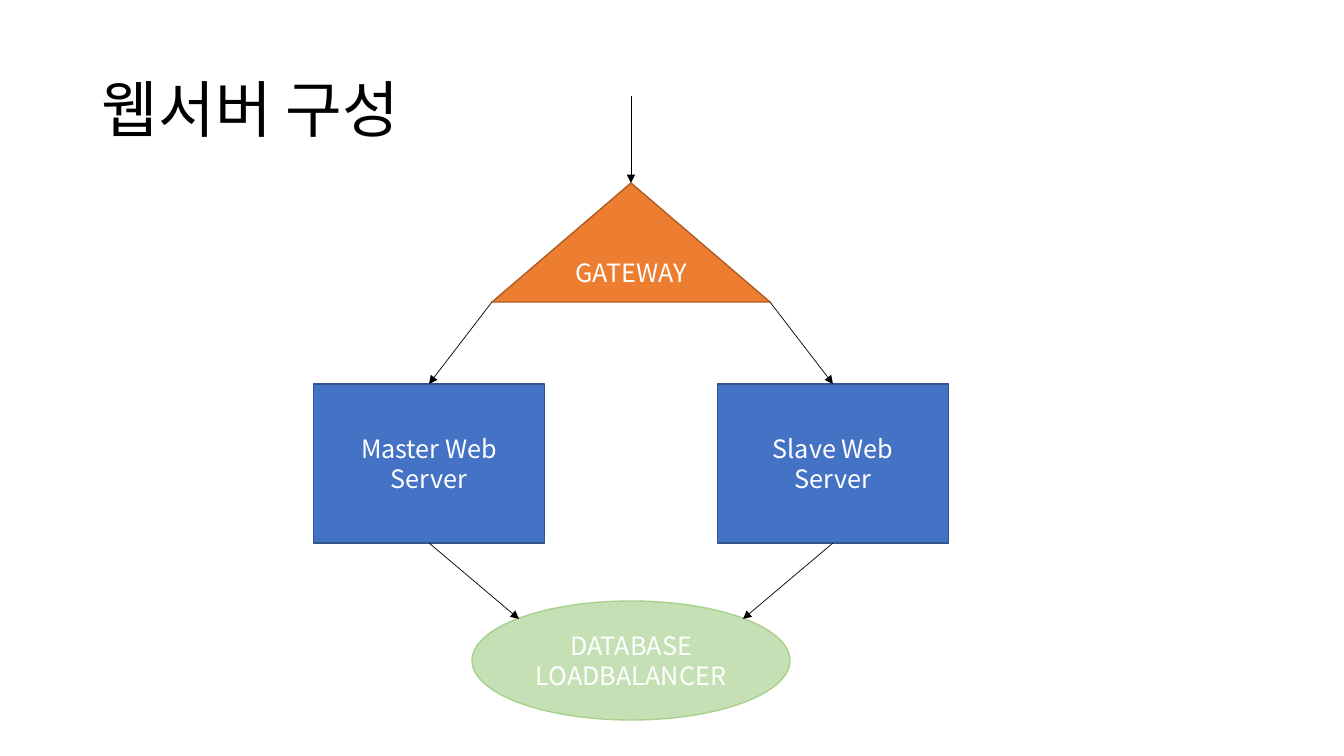
from dataclasses import dataclass

from lxml.etree import SubElement
from pptx import Presentation
from pptx.dml.color import RGBColor
from pptx.enum.shapes import MSO_CONNECTOR, MSO_SHAPE
from pptx.enum.text import MSO_ANCHOR, PP_ALIGN
from pptx.oxml.ns import qn
from pptx.util import Emu, Pt

SLIDE_WIDTH, SLIDE_HEIGHT = 1344, 756
SCALE = 12192000 / SLIDE_WIDTH
FONT = "Noto Sans CJK KR"
AXIS = 631
SERVER_OFFSET = 202
SERVER_TOP, SERVER_BOTTOM = 384, 543
PROXY_TOP, PROXY_BOTTOM = 183, 302
PROXY_HALF = 139


@dataclass(frozen=True)
class Node:
    kind: MSO_SHAPE
    center: int
    top: int
    width: int
    height: int
    fill: str
    outline: str
    lines: tuple[str, ...]


@dataclass(frozen=True)
class Arrow:
    start: tuple[int, int]
    end: tuple[int, int]


def px(value: float) -> Emu:
    return Emu(round(value * SCALE))


def color(value: str) -> RGBColor:
    return RGBColor.from_string(value)


def write_lines(para, lines: tuple[str, ...], size: int, ink: str) -> None:
    for index, line in enumerate(lines):
        if index:
            para.add_line_break()
        span = para.add_run()
        span.text = line
        span.font.size = Pt(size)
        span.font.name = FONT
        span.font.color.rgb = color(ink)
        SubElement(span.font._element, qn("a:ea"), typeface=FONT)


def draw_title(page, text: str) -> None:
    box = page.shapes.add_textbox(px(92), px(40), px(1159), px(146))
    frame = box.text_frame
    frame.word_wrap = True
    frame.vertical_anchor = MSO_ANCHOR.MIDDLE
    para = frame.paragraphs[0]
    para.line_spacing = 0.9
    write_lines(para, (text,), 44, "000000")


def draw_node(page, node: Node) -> None:
    shape = page.shapes.add_shape(
        node.kind,
        px(node.center - node.width / 2),
        px(node.top),
        px(node.width),
        px(node.height),
    )
    shape.shadow.inherit = False
    shape.fill.solid()
    shape.fill.fore_color.rgb = color(node.fill)
    shape.line.color.rgb = color(node.outline)
    shape.line.width = Pt(1)
    frame = shape.text_frame
    frame.word_wrap = True
    frame.vertical_anchor = MSO_ANCHOR.MIDDLE
    para = frame.paragraphs[0]
    para.alignment = PP_ALIGN.CENTER
    write_lines(para, node.lines, 18, "FFFFFF")


def draw_arrow(page, arrow: Arrow) -> None:
    connector = page.shapes.add_connector(
        MSO_CONNECTOR.STRAIGHT, *map(px, arrow.start + arrow.end)
    )
    connector.line.color.rgb = color("000000")
    connector.line.width = Pt(0.5)
    SubElement(connector.line._get_or_add_ln(), qn("a:tailEnd"), type="triangle")
    SubElement(connector._element.spPr, qn("a:effectLst"))


def server(side: int, role: str) -> Node:
    return Node(
        MSO_SHAPE.RECTANGLE,
        AXIS + side * SERVER_OFFSET,
        SERVER_TOP,
        231,
        SERVER_BOTTOM - SERVER_TOP,
        "4472C4",
        "325491",
        (f"{role} Web", "Server"),
    )


def branch(side: int) -> list[Arrow]:
    server_center = AXIS + side * SERVER_OFFSET
    return [
        Arrow((AXIS + side * PROXY_HALF, PROXY_BOTTOM), (server_center, SERVER_TOP)),
        Arrow((server_center, SERVER_BOTTOM), (AXIS + side * 112, 619)),
    ]


NODES = [
    server(-1, "Master"),
    server(1, "Slave"),
    Node(MSO_SHAPE.OVAL, AXIS, 601, 318, 119, "C5E0B4", "A9D18E",
         ("DATABASE", "LOADBALANCER")),
    Node(MSO_SHAPE.ISOSCELES_TRIANGLE, AXIS, PROXY_TOP, 2 * PROXY_HALF,
         PROXY_BOTTOM - PROXY_TOP, "ED7D31", "AF5C24", ("GATEWAY",)),
]
ARROWS = [Arrow((AXIS, 96), (AXIS, PROXY_TOP)), *branch(-1), *branch(1)]

deck = Presentation()
deck.slide_width, deck.slide_height = px(SLIDE_WIDTH), px(SLIDE_HEIGHT)
page = deck.slides.add_slide(deck.slide_layouts[6])
draw_title(page, "웹서버 구성")
for node in NODES:
    draw_node(page, node)
for arrow in ARROWS:
    draw_arrow(page, arrow)
deck.save("out.pptx")
